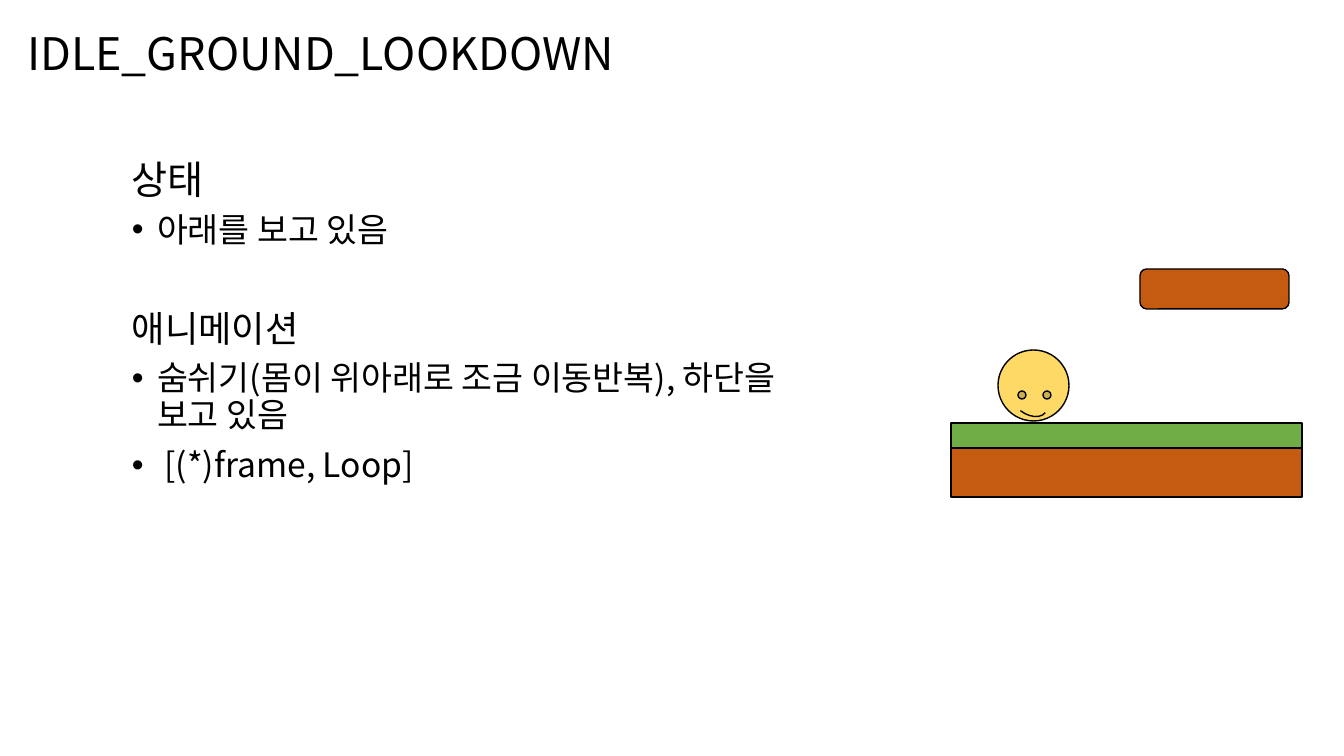
import pptx
import pptx.util
import pptx.dml.color
import pptx.enum.shapes
import pptx.enum.text
import lxml.etree

FACE = "Noto Sans CJK KR"
TITLE = ("IDLE_GROUND_LOOKDOWN", (17, 15, 1159, 82), 32)
NOTES = [
    (["상태"], (122, 156, 108, 54), 28, 0.9, False),
    (["아래를 보고 있음"], (122, 212, 516, 43), 24, 0.8, True),
    (["애니메이션"], (122, 313, 205, 43), 25.9, 0.7, False),
    (["숨쉬기(몸이 위아래로 조금 이동반복), 하단을 보고 있음",
      " [(*)frame, Loop]"], (122, 357, 718, 172), 24, 0.9, True),
]
HEAD = [
    ("OVAL", (998, 350, 71, 71), "FFD966", 0),
    ("OVAL", (1018, 391, 8, 8), "CDAE52", 0),
    ("OVAL", (1043, 391, 8, 8), "CDAE52", 0),
    ("ARC", (1015, 379, 27, 42), None, 127.1),
]
GROUND = [
    ("RECTANGLE", (951, 423, 351, 25), "70AD47", 0),
    ("RECTANGLE", (951, 448, 351, 49), "C55A11", 0),
]
BLOCK = [("ROUNDED_RECTANGLE", (1140, 269, 149, 40), "C55A11", 0)]

SCALE = 914400 / 100.8
KIND = pptx.enum.shapes.MSO_SHAPE
ANCHOR = pptx.enum.text.MSO_ANCHOR
ALIGN = pptx.enum.text.PP_ALIGN
FIT = pptx.enum.text.MSO_AUTO_SIZE


def emu(box):
    return [round(v * SCALE) for v in box]


def tint(code):
    return pptx.dml.color.RGBColor.from_string(code)


def put(item, **vals):
    for key, val in vals.items():
        setattr(item, key, val)


def add_tag(node, name, **vals):
    return lxml.etree.SubElement(node, pptx.oxml.ns.qn(name), vals)


def write(frame, lines, size, gap, lead, dots, anchor):
    put(frame, word_wrap=True, auto_size=FIT.NONE, vertical_anchor=anchor)
    for i, line in enumerate(lines):
        para = frame.add_paragraph() if i else frame.paragraphs[0]
        put(para, line_spacing=gap, space_before=pptx.util.Pt(lead),
            alignment=ALIGN.LEFT)
        if dots:
            props = para._p.get_or_add_pPr()
            props.set("marL", "228600")
            props.set("indent", "-228600")
            add_tag(props, "a:buFont", typeface="Arial")
            add_tag(props, "a:buChar", char="•")
        run = para.add_run()
        run.text = line
        put(run.font, size=pptx.util.Pt(size), name=FACE)
        run.font.color.rgb = tint("000000")
        add_tag(run.font._element, "a:ea", typeface=FACE)


def draw(parts, home):
    for kind, box, fill, turn in parts:
        shape = home.add_shape(getattr(KIND, kind), *emu(box))
        shape.rotation = turn
        shape.shadow.inherit = False
        if fill:
            shape.fill.solid()
            shape.fill.fore_color.rgb = tint(fill)
        else:
            shape.fill.background()
        shape.line.color.rgb = tint("000000")
        shape.line.width = pptx.util.Pt(1)


deck = pptx.Presentation()
wide, high = emu((1344, 756))
put(deck, slide_width=wide, slide_height=high)
slide = deck.slides.add_slide(deck.slide_layouts[5])
shapes = slide.shapes

text, box, size = TITLE
left, top, width, height = emu(box)
put(shapes.title, left=left, top=top, width=width, height=height)
write(shapes.title.text_frame, [text], size, 0.9, 0, False, ANCHOR.MIDDLE)

draw(HEAD, shapes.add_group_shape().shapes)
draw(GROUND, shapes.add_group_shape().shapes)
draw(BLOCK, shapes)

for lines, box, size, gap, dots in NOTES:
    note = shapes.add_textbox(*emu(box))
    write(note.text_frame, lines, size, gap, 10, dots, ANCHOR.TOP)

deck.save("out.pptx")
